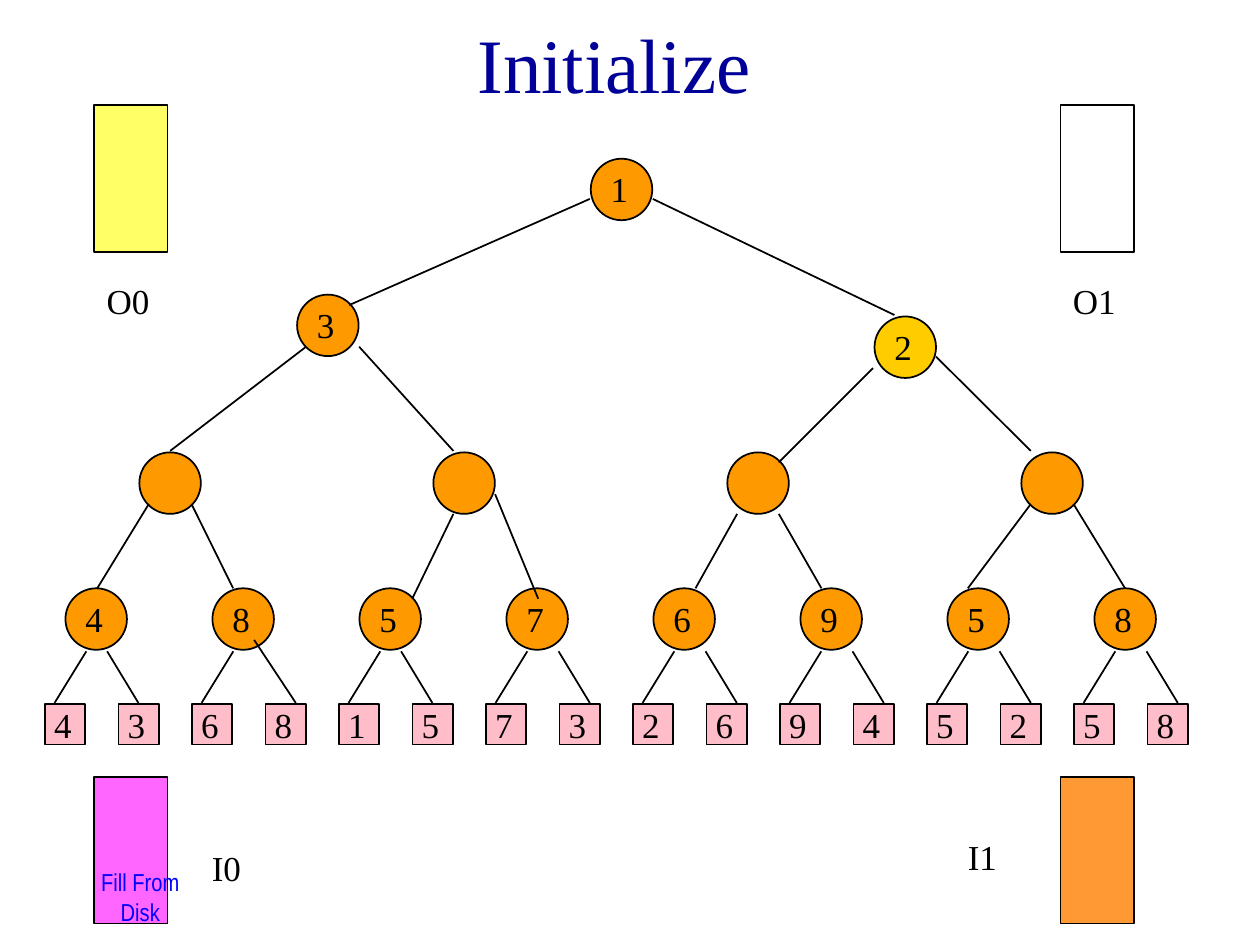
from dataclasses import dataclass

from lxml import etree
from pptx import Presentation
from pptx import util as u
from pptx.dml.color import RGBColor
from pptx.enum import shapes, text
from pptx.oxml.ns import qn


@dataclass(frozen=True)
class Theme:
    serif: str = "Times New Roman"
    narrow: str = "Arial Narrow"
    ink: str = "000000"
    heading: str = "000099"
    note: str = "0000FF"
    node: str = "FF9900"
    changed_node: str = "FFCC00"
    leaf: str = "FFBDCA"
    output_0: str = "FFFF66"
    output_1: str = "FFFFFF"
    input_0: str = "FF66FF"
    input_1: str = "FF9933"
    title_size: int = 44
    label_size: int = 20
    note_size: int = 14
    line: int = 1


def write(frame, words, font, size, color, align=text.PP_ALIGN.LEFT):
    frame.text = words
    paragraph = frame.paragraphs[0]
    paragraph.alignment = align
    paragraph.font.name = font
    paragraph.font.size = u.Pt(size)
    paragraph.font.color.rgb = RGBColor.from_string(color)


class TreeSlide:
    def __init__(self, deck, theme):
        self.theme = theme
        self.slide = deck.slides.add_slide(deck.slide_layouts[0])
        subtitle = self.slide.placeholders[1].element
        subtitle.getparent().remove(subtitle)

    def title(self, words, left, top, width, height):
        heading = self.slide.shapes.title
        heading.left, heading.top = u.Cm(left), u.Cm(top)
        heading.width, heading.height = u.Cm(width), u.Cm(height)
        heading.text_frame.vertical_anchor = text.MSO_ANCHOR.MIDDLE
        write(heading.text_frame, words, self.theme.serif, self.theme.title_size,
              self.theme.heading, text.PP_ALIGN.CENTER)

    def outline(self, kind, left, top, width, height, color, parent=None):
        figure = (parent or self.slide).shapes.add_shape(
            kind, u.Cm(left), u.Cm(top), u.Cm(width), u.Cm(height))
        figure.shadow.inherit = False
        figure.fill.solid()
        figure.fill.fore_color.rgb = RGBColor.from_string(color)
        figure.line.color.rgb = RGBColor.from_string(self.theme.ink)
        figure.line.width = u.Pt(self.theme.line)

    def label(self, words, left, top, width=0.86, parent=None):
        box = (parent or self.slide).shapes.add_textbox(
            u.Cm(left), u.Cm(top), u.Cm(width), u.Cm(1.09))
        box.text_frame.word_wrap = len(words) > 1
        box.text_frame.auto_size = text.MSO_AUTO_SIZE.SHAPE_TO_FIT_TEXT
        write(box.text_frame, words, self.theme.serif, self.theme.label_size, self.theme.ink)

    def note(self, words, left, top, width, height):
        box = self.slide.shapes.add_textbox(u.Cm(left), u.Cm(top), u.Cm(width), u.Cm(height))
        box.text_frame.word_wrap = True
        write(box.text_frame, words, self.theme.narrow, self.theme.note_size,
              self.theme.note, text.PP_ALIGN.CENTER)

    def edge(self, x1, y1, x2, y2):
        branch = self.slide.shapes.add_connector(
            shapes.MSO_CONNECTOR.STRAIGHT, u.Cm(x1), u.Cm(y1), u.Cm(x2), u.Cm(y2))
        branch.line.color.rgb = RGBColor.from_string(self.theme.ink)
        branch.line.width = u.Pt(self.theme.line)
        etree.SubElement(branch.element.spPr, qn("a:effectLst"))

    def node(self, winner, left, top, color=None):
        self.outline(shapes.MSO_SHAPE.OVAL, left, top, 1.24, 1.24, color or self.theme.node)
        if winner:
            self.label(winner, left + 0.15, top + 0.06)

    def leaf(self, key, left, top):
        self.outline(shapes.MSO_SHAPE.RECTANGLE, left, top, 0.81, 0.81, self.theme.leaf)
        self.label(key, left - 0.07, top - 0.15)

    def buffer(self, name, left, top, color, name_left, name_top):
        group = self.slide.shapes.add_group_shape()
        self.outline(shapes.MSO_SHAPE.RECTANGLE, left, top, 1.48, 2.96, color, group)
        self.label(name, name_left, name_top, 1.48, group)


PITCH = 17.78 / 12
KEYS = "4368157326945258"
FIRST_WINNERS = "48576958"
UPPER_EDGES = [
    (11.89, 4.01, 7.04, 6.15), (13.16, 4.01, 18.03, 6.35),
    (6.17, 6.99, 3.43, 9.09), (7.24, 6.99, 9.14, 9.09),
    (17.6, 7.42, 15.7, 9.32), (18.87, 7.19, 20.78, 9.09),
    (3, 10.16, 1.96, 11.86), (3.86, 10.16, 4.7, 11.86),
    (9.14, 10.36, 8.31, 12.07), (9.98, 9.96, 10.85, 12.07),
    (14.86, 10.36, 14.02, 11.86), (15.7, 10.36, 16.56, 11.86),
    (20.78, 10.16, 19.51, 11.86), (21.64, 10.16, 22.68, 11.86),
]


def main():
    deck = Presentation()
    deck.slide_width, deck.slide_height = u.Cm(25.4), u.Cm(19.05)
    theme = Theme()
    tree = TreeSlide(deck, theme)
    tree.title("Initialize", 0, 0, 24.77, 2.54)

    for i, key in enumerate(KEYS):
        tree.leaf(key, 0.91 + i * PITCH, 14.2)
    for i, winner in enumerate(FIRST_WINNERS):
        tree.node(winner, 1.32 + i * 2 * PITCH, 11.86)
    for i in range(4):
        tree.node("", 2.81 + i * 4 * PITCH, 9.12)
    tree.node("3", 5.99, 5.94)
    tree.node("2", 17.63, 6.38, theme.changed_node)
    tree.node("1", 11.91, 3.2)

    for ends in UPPER_EDGES:
        tree.edge(*ends)
    for i in range(len(FIRST_WINNERS)):
        shift = i * 2 * PITCH
        tree.edge(1.74 + shift, 13.13, 1.1 + shift, 14.17)
        start = 2.16 + shift + (0.21 if i >= 3 else 0)
        end = 2.79 + shift + (0.21 if i in (1, 3, 4, 5, 6, 7) else 0)
        tree.edge(start, 12.9 if i == 1 else 13.13, end, 14.17)

    near, far, upper, lower = 1.9, 21.38, 2.12, 15.66
    tree.buffer("O0", near, upper, theme.output_0, near, 5.5)
    tree.buffer("O1", far, upper, theme.output_1, far, 5.5)
    tree.buffer("I0", near, lower, theme.input_0, 4.02, 16.93)
    tree.buffer("I1", far, lower, theme.input_1, 19.26, 16.72)
    tree.note("Fill From Disk", 1.7, 17.36, 2.26, 1.07)
    deck.save("out.pptx")


if __name__ == "__main__":
    main()
